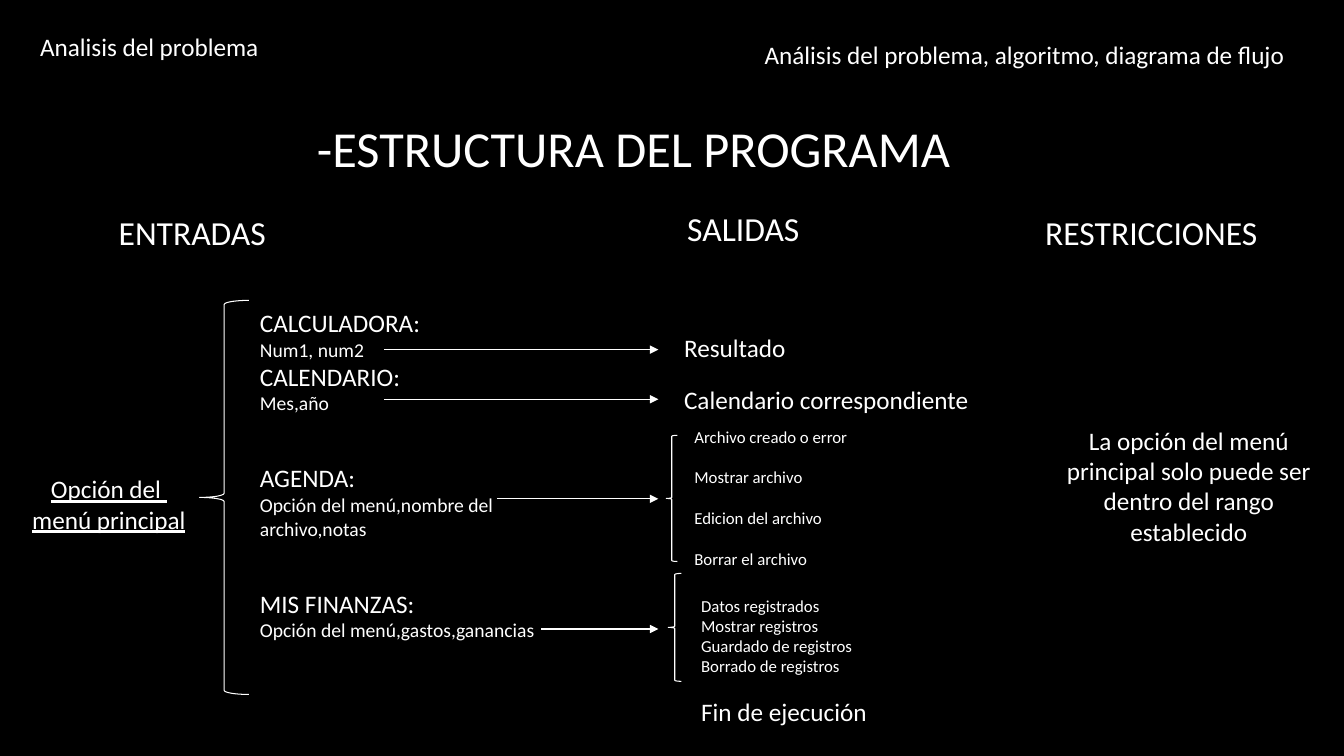
from dataclasses import dataclass

from lxml import etree
from pptx import Presentation
from pptx.dml.color import RGBColor
from pptx.enum.shapes import MSO_CONNECTOR, MSO_SHAPE
from pptx.enum.text import MSO_ANCHOR, PP_ALIGN
from pptx.oxml.ns import qn
from pptx.slide import Slide
from pptx.text.text import TextFrame
from pptx.util import Cm, Pt

LEFT, CENTER = PP_ALIGN.LEFT, PP_ALIGN.CENTER
MIDDLE = MSO_ANCHOR.MIDDLE
BRACE = MSO_SHAPE.LEFT_BRACE
STRAIGHT = MSO_CONNECTOR.STRAIGHT
FONT = "Calibri"
BLACK, WHITE = "000000", "FFFFFF"
THIN = Pt(0.75)
TIP = 16.59


@dataclass
class Line:
    text: str
    size: float = 18
    gap: float = 0


@dataclass
class Label:
    x: float
    y: float
    w: float
    h: float
    lines: list[Line]
    align: PP_ALIGN = LEFT
    under: bool = False
    wrap: bool = True


@dataclass
class Brace:
    x: float
    y: float
    w: float
    h: float


@dataclass
class Arrow:
    x: float
    y: float


LABELS = [
    Label(19.02, 0.86, 14.12, 1.02,
          [Line("Análisis del problema, algoritmo, diagrama de flujo")]),
    Label(0.76, 0.66, 6.12, 1.02, [Line("Analisis del problema")]),
    Label(2.74, 5.21, 4.67, 1.27, [Line("ENTRADAS", 24)]),
    Label(17.07, 5.11, 4.67, 1.27, [Line("SALIDAS", 24)]),
    Label(26.09, 5.21, 6.22, 1.27, [Line("RESTRICCIONES", 24)]),
    Label(0.41, 11.81, 4.67, 1.8,
          [Line("Opción del "), Line("menú principal")], CENTER, True),
    Label(26.06, 10.59, 7.8, 3.33,
          [Line("La opción del menú principal solo puede ser "
                "dentro del rango establecido")], CENTER),
    Label(6.3, 7.62, 7.49, 10.52, [
        Line("CALCULADORA:"),
        Line("Num1, num2", 14),
        Line("CALENDARIO:"),
        Line("Mes,año", 14),
        Line("AGENDA:", gap=34.2),
        Line("Opción del menú,nombre del archivo,notas", 14),
        Line("MIS FINANZAS:", gap=34.2),
        Line("Opción del menú,gastos,ganancias", 14),
    ]),
    Label(16.99, 8.26, 6.12, 1.04, [Line("Resultado")]),
    Label(16.99, 9.55, 8.05, 1.02, [Line("Calendario correspondiente")]),
    Label(17.25, 10.62, 7.34, 3.84, [
        Line("Archivo creado o error", 12),
        Line("Mostrar archivo", 12, 14.65),
        Line("Edicion del archivo", 12, 14.65),
        Line("Borrar el archivo", 12, 14.65),
    ]),
    Label(17.42, 14.88, 4.37, 2.31, [
        Line("Datos registrados", 12),
        Line("Mostrar registros", 12),
        Line("Guardado de registros", 12),
        Line("Borrado de registros", 12),
    ], wrap=False),
    Label(17.42, 17.42, 5.87, 1.02, [Line("Fin de ejecución")]),
]

BRACES = [
    Brace(5.03, 7.57, 1.24, 9.93),
    Brace(16.79, 10.97, 0.28, 3.18),
    Brace(16.84, 14.45, 0.33, 2.72),
]

ARROWS = [Arrow(9.68, 8.81), Arrow(9.68, 10.06),
          Arrow(12.52, 12.57), Arrow(13.64, 15.85)]


def color(code: str) -> RGBColor:
    return RGBColor.from_string(code)


def write(frame: TextFrame, lines: list[Line], align: PP_ALIGN,
          under: bool = False) -> None:
    frame.text = "\n".join(line.text for line in lines)
    for para, line in zip(frame.paragraphs, lines):
        para.alignment = align
        if line.gap:
            para.space_before = Pt(line.gap)
        for run in para.runs:
            font = run.font
            font.name, font.size = FONT, Pt(line.size)
            font.color.rgb = color(WHITE)
            if under:
                font.underline = True


def add_title(slide: Slide, text: str) -> None:
    title = slide.shapes.title
    title.left, title.top = Cm(1.9), Cm(1.7)
    title.width, title.height = Cm(28.14), Cm(4.04)
    title.text_frame.vertical_anchor = MIDDLE
    write(title.text_frame, [Line(text, 36)], CENTER)


def add_label(slide: Slide, label: Label) -> None:
    box = slide.shapes.add_textbox(
        Cm(label.x), Cm(label.y), Cm(label.w), Cm(label.h))
    box.text_frame.word_wrap = label.wrap
    write(box.text_frame, label.lines, label.align, label.under)


def add_brace(slide: Slide, brace: Brace) -> None:
    shape = slide.shapes.add_shape(
        BRACE, Cm(brace.x), Cm(brace.y), Cm(brace.w), Cm(brace.h))
    shape.shadow.inherit = False
    shape.fill.background()
    shape.line.color.rgb = color(WHITE)
    shape.line.width = THIN


def add_arrow(slide: Slide, arrow: Arrow) -> None:
    link = slide.shapes.add_connector(
        STRAIGHT, Cm(arrow.x), Cm(arrow.y), Cm(TIP), Cm(arrow.y))
    link.line.color.rgb = color(WHITE)
    link.line.width = THIN
    props = link._element.spPr
    etree.SubElement(props.find(qn("a:ln")), qn("a:tailEnd"), type="triangle")
    etree.SubElement(props, qn("a:effectLst"))


def main() -> None:
    deck = Presentation()
    deck.slide_width, deck.slide_height = Cm(33.87), Cm(19.05)
    slide = deck.slides.add_slide(deck.slide_layouts.get_by_name("Title Only"))
    back = slide.background.fill
    back.solid()
    back.fore_color.rgb = color(BLACK)
    add_title(slide, "-ESTRUCTURA DEL PROGRAMA")
    for label in LABELS:
        add_label(slide, label)
    for brace in BRACES:
        add_brace(slide, brace)
    for arrow in ARROWS:
        add_arrow(slide, arrow)
    deck.save("out.pptx")


if __name__ == "__main__":
    main()
